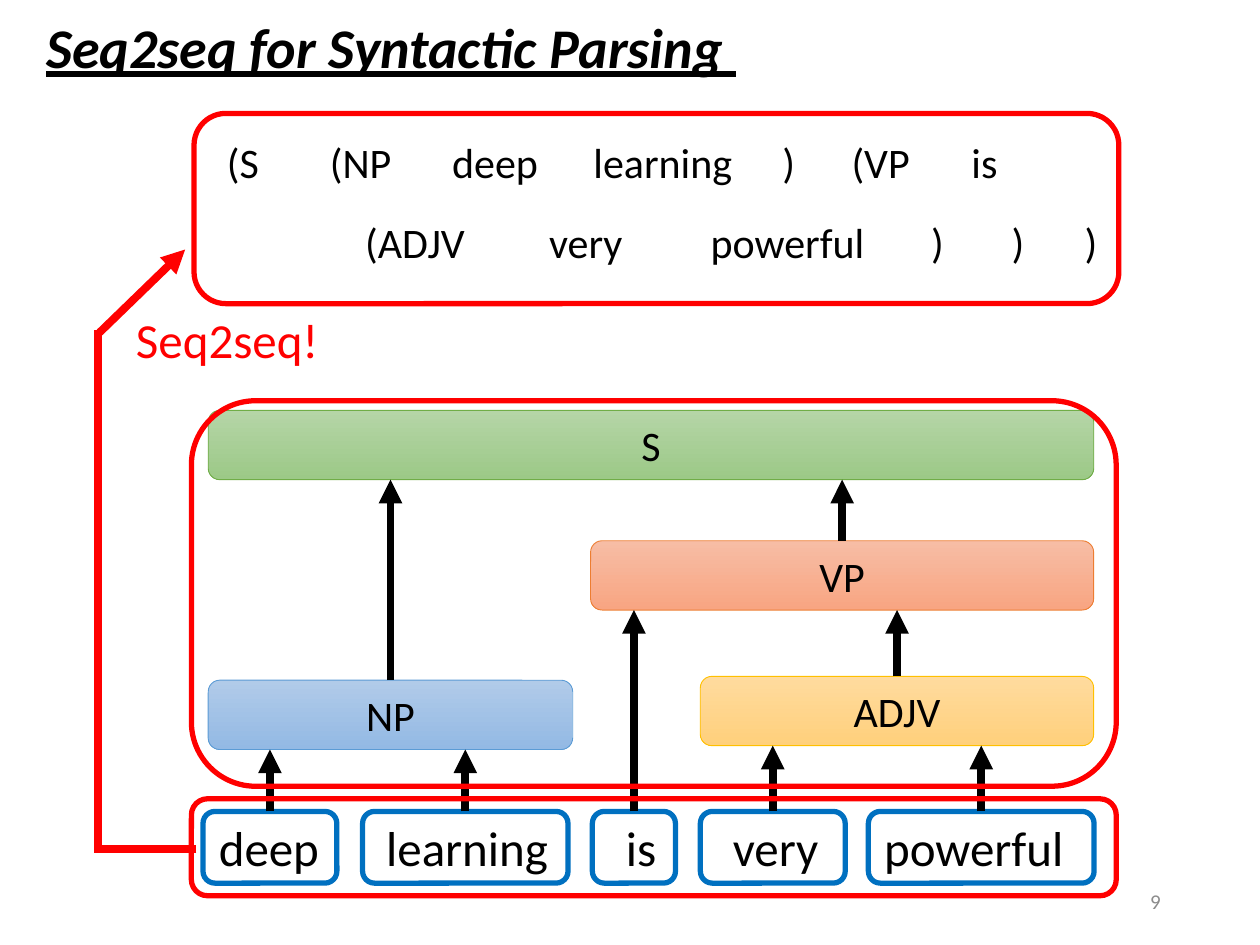
from dataclasses import dataclass

import pptx
import pptx.dml.color
import pptx.enum.shapes
import pptx.enum.text
import pptx.oxml
import pptx.oxml.ns
import pptx.util

Pt = pptx.util.Pt
Align = pptx.enum.text.PP_ALIGN
Anchor = pptx.enum.text.MSO_ANCHOR


@dataclass(frozen=True)
class Theme:
    font: str = "Calibri"
    black: str = "000000"
    red: str = "FF0000"
    blue: str = "0070C0"
    grey: str = "8C8C8C"
    title: float = 32
    word: float = 28
    label: float = 24
    number: float = 12
    outline: float = 3
    arrow: float = 4.5
    thin: float = 0.5


@dataclass(frozen=True)
class Area:
    left: float
    top: float
    width: float
    height: float


@dataclass(frozen=True)
class Word:
    text: str
    left: float
    width: float
    inset: float
    parent: str


@dataclass(frozen=True)
class Phrase:
    text: str
    area: Area
    light: str
    dark: str
    line: str
    parent: str = ""


@dataclass(frozen=True)
class Token:
    text: str
    left: float


THEME = Theme()

# Parse tree: leaves and phrases
WORD_TOP, WORD_HEIGHT = 463.7, 41
WORDS = [
    Word("deep", 116, 76.5, 7.2, "NP"),
    Word("learning", 207.2, 117.4, 11.5, "NP"),
    Word("is", 338.5, 47.5, 17.2, "VP"),
    Word("very", 400.2, 82.8, 16.6, "ADJV"),
    Word("powerful", 496.2, 129, 7.2, "ADJV"),
]
PHRASES = [
    Phrase("VP", Area(337.5, 309, 287.5, 39.6), "F7BDA5", "F8A582", "ED7D31", "S"),
    Phrase("S", Area(119, 234.5, 506, 39.6), "B5D5A7", "9CC987", "70AD47"),
    Phrase("NP", Area(119, 388.7, 208.3, 39.6), "B1CBE9", "93B9E4", "5B9BD5", "S"),
    Phrase("ADJV", Area(400.2, 386.5, 224.8, 39.6), "FFDB9E", "FFD07C", "FFC000", "VP"),
]

# Bracketed output: one list of tokens for each row top
TOKEN_ROWS = {
    74.2: [Token("(S", 122.6), Token("(NP", 181.4), Token("deep", 251.3),
           Token("learning", 332), Token(")", 440), Token("(VP", 479.5),
           Token("is", 548)],
    120: [Token("(ADJV", 201.6), Token("very", 306.7), Token("powerful", 399),
          Token(")", 525), Token(")", 571), Token(")", 612.7)],
}

# Red frames around output, tree and sentence
FRAMES = [
    Area(110.9, 64.8, 528.5, 108.7),
    Area(109.4, 229, 528.5, 220.3),
    Area(109.4, 456.5, 528.5, 55.4),
]


def color(value: str) -> pptx.dml.color.RGBColor:
    return pptx.dml.color.RGBColor.from_string(value)


def write(shape, text: str, size: float, shade: str = THEME.black,
          align=Align.LEFT, anchor=Anchor.TOP):
    frame = shape.text_frame
    frame.word_wrap = True
    frame.vertical_anchor = anchor
    para = frame.paragraphs[0]
    para.text = text
    para.alignment = align
    para.font.name = THEME.font
    para.font.size = Pt(size)
    para.font.color.rgb = color(shade)
    return para


def add_text(page, area: Area, text: str, size: float, **style):
    box = page.shapes.add_textbox(
        Pt(area.left), Pt(area.top), Pt(area.width), Pt(area.height))
    return write(box, text, size, **style)


def add_round_box(page, area: Area, line: str, width: float):
    box = page.shapes.add_shape(
        pptx.enum.shapes.MSO_SHAPE.ROUNDED_RECTANGLE,
        Pt(area.left), Pt(area.top), Pt(area.width), Pt(area.height))
    box.shadow.inherit = False
    box.fill.background()
    box.line.color.rgb = color(line)
    box.line.width = Pt(width)
    return box


def add_word(page, word: Word):
    area = Area(word.left, WORD_TOP, word.width, WORD_HEIGHT)
    box = add_round_box(page, area, THEME.blue, THEME.outline)
    write(box, word.text, THEME.word, anchor=Anchor.MIDDLE)
    box.text_frame.margin_left = Pt(word.inset)
    box.text_frame.margin_right = 0
    return box


def add_phrase(page, phrase: Phrase):
    box = add_round_box(page, phrase.area, phrase.line, THEME.thin)
    box.fill.gradient()
    box.fill.gradient_angle = 270
    for stop, shade in zip(box.fill.gradient_stops, (phrase.light, phrase.dark)):
        stop.color.rgb = color(shade)
    write(box, phrase.text, THEME.label, align=Align.CENTER, anchor=Anchor.MIDDLE)
    return box


def add_line(page, begin: tuple, end: tuple, shade: str, head: bool = False):
    line = page.shapes.add_connector(
        pptx.enum.shapes.MSO_CONNECTOR.STRAIGHT, *begin, *end)
    line.line.color.rgb = color(shade)
    line.line.width = Pt(THEME.arrow)
    if head:
        tail = pptx.oxml.parse_xml(
            f'<a:tailEnd {pptx.oxml.ns.nsdecls("a")} type="triangle"/>')
        line.line._get_or_add_ln().append(tail)
    line._element.spPr.append(
        pptx.oxml.parse_xml(f'<a:effectLst {pptx.oxml.ns.nsdecls("a")}/>'))
    return line


def add_tree_arrow(page, child, parent) -> None:
    middle = child.left + child.width // 2
    arrow = add_line(page, (middle, child.top),
                     (middle, parent.top + parent.height), THEME.black, head=True)
    arrow.begin_connect(child, 0)


def main() -> None:
    deck = pptx.Presentation()
    deck.slide_width, deck.slide_height = Pt(720), Pt(540)
    page = deck.slides.add_slide(deck.slide_layouts[6])

    # Tree boxes, then an arrow from each child to its parent
    leaves = [(add_word(page, word), word.parent) for word in WORDS]
    phrases = {phrase.text: add_phrase(page, phrase) for phrase in PHRASES}
    inner = [(phrases[item.text], item.parent) for item in PHRASES if item.parent]
    for child, parent in leaves + inner:
        add_tree_arrow(page, child, phrases[parent])

    # Title and red caption
    title = add_text(page, Area(19.4, 3.6, 430, 46), "Seq2seq for Syntactic Parsing ",
                     THEME.title)
    title.font.bold = title.font.italic = title.font.underline = True
    add_text(page, Area(70.6, 173.5, 126, 41), "Seq2seq!", THEME.word, shade=THEME.red)

    # Red route from sentence to output
    add_line(page, (Pt(56.2), Pt(487.4)), (Pt(56.2), Pt(188.6)), THEME.red)
    add_line(page, (Pt(112.3), Pt(485.3)), (Pt(56.9), Pt(485.3)), THEME.red)
    add_line(page, (Pt(56.9), Pt(190)), (Pt(105.8), Pt(142.6)), THEME.red, head=True)

    # Output tokens and frames
    for top, tokens in TOKEN_ROWS.items():
        for token in tokens:
            add_text(page, Area(token.left, top, 106, 36), token.text, THEME.label)
    for frame in FRAMES:
        add_round_box(page, frame, THEME.red, THEME.outline)

    # Page number
    add_text(page, Area(508.3, 500.4, 162, 28.8), "9", THEME.number,
             shade=THEME.grey, align=Align.RIGHT, anchor=Anchor.MIDDLE)

    deck.save("out.pptx")


if __name__ == "__main__":
    main()
